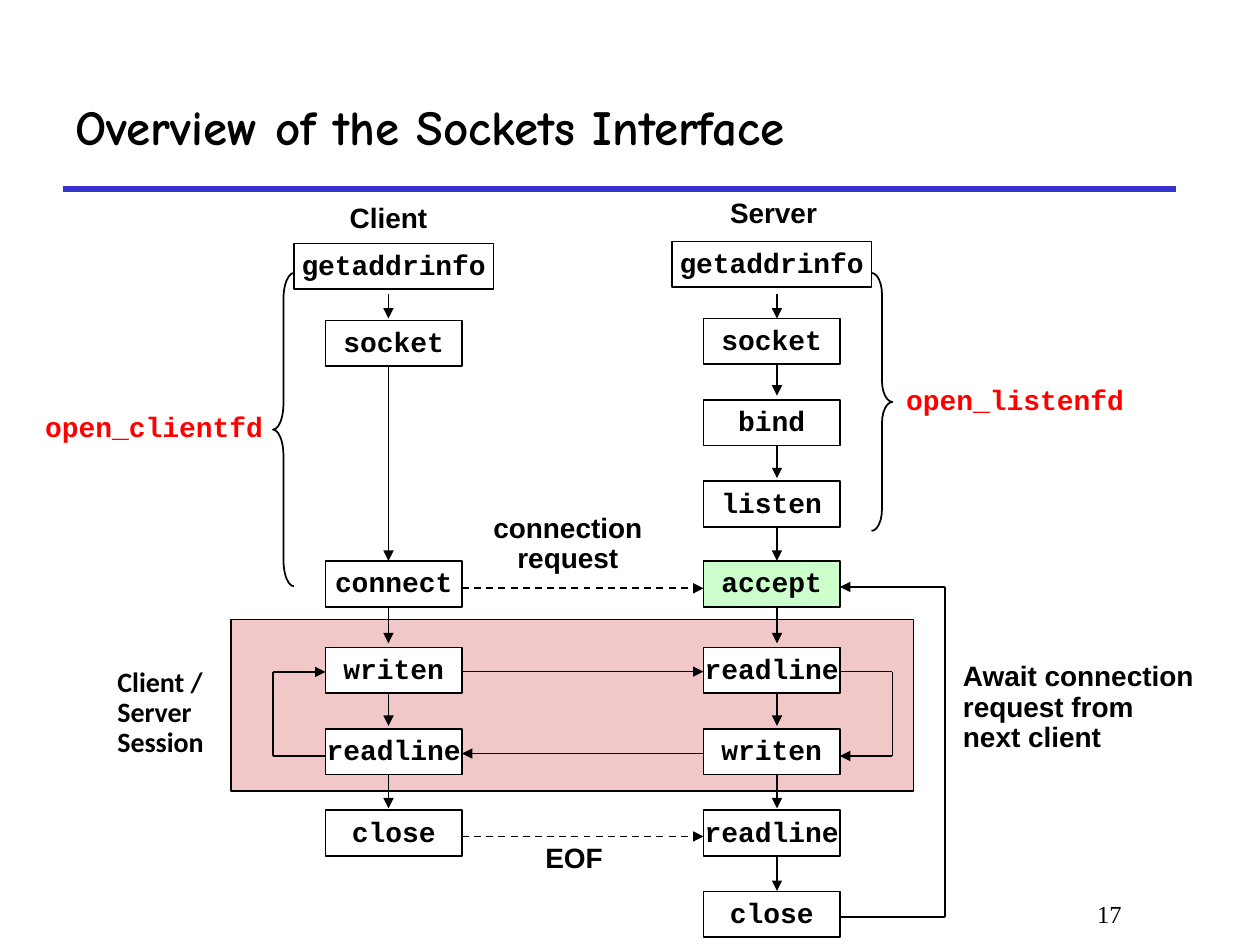
import pptx
import pptx.dml.color
import pptx.enum.dml
import pptx.enum.shapes
import pptx.enum.text
import pptx.oxml
import pptx.oxml.ns
import pptx.util

Pt = pptx.util.Pt
SHAPES = pptx.enum.shapes.MSO_SHAPE
ALIGN = pptx.enum.text.PP_ALIGN
MIDDLE = pptx.enum.text.MSO_ANCHOR.MIDDLE
rgb = pptx.dml.color.RGBColor.from_string


def write(shape, text, font, color="000000", align=ALIGN.CENTER, wrap=False,
          size=16, bold=True, spacing=0.9):
    frame = shape.text_frame
    frame.text = text
    frame.word_wrap = wrap
    frame.vertical_anchor = MIDDLE
    for paragraph in frame.paragraphs:
        paragraph.alignment = align
        paragraph.line_spacing = spacing
        for run in paragraph.runs:
            run.font.name = font
            run.font.size = Pt(size)
            run.font.bold = bold
            run.font.color.rgb = rgb(color)


def draw_route(points, color="000000", width=1, arrow=True, dashed=False):
    """Join the points with straight lines; the arrowhead sits on the last one."""
    for start, end in zip(points, points[1:]):
        line = slide.shapes.add_connector(
            pptx.enum.shapes.MSO_CONNECTOR.STRAIGHT,
            Pt(start[0]), Pt(start[1]), Pt(end[0]), Pt(end[1]))
        line.line.color.rgb = rgb(color)
        line.line.width = Pt(width)
        if dashed:
            line.line.dash_style = pptx.enum.dml.MSO_LINE.DASH
        if arrow and end == points[-1]:
            head = pptx.oxml.parse_xml(
                '<a:tailEnd %s type="triangle"/>' % pptx.oxml.ns.nsdecls("a"))
            line.line._get_or_add_ln().append(head)
        line._element.spPr.append(
            pptx.oxml.parse_xml("<a:effectLst %s/>" % pptx.oxml.ns.nsdecls("a")))


presentation = pptx.Presentation()
presentation.slide_width = Pt(720)
presentation.slide_height = Pt(540)
slide = presentation.slides.add_slide(presentation.slide_layouts[5])

# Title, rule and page number
title = slide.shapes.title
title.left, title.top, title.width, title.height = Pt(36), Pt(36), Pt(636), Pt(72)
write(title, "Overview of the Sockets Interface", "Comic Neue",
      align=ALIGN.LEFT, wrap=True, size=28, spacing=1.0)
draw_route([(36, 108), (672, 108)], "3333CC", 3, arrow=False)
page_number = slide.shapes.add_textbox(Pt(546), Pt(510), Pt(102), Pt(36))
write(page_number, "17", "Times New Roman", align=ALIGN.RIGHT, wrap=True,
      size=14, bold=False, spacing=1.0)
page_number.text_frame.vertical_anchor = pptx.enum.text.MSO_ANCHOR.TOP

# Session area
session = slide.shapes.add_shape(SHAPES.RECTANGLE, Pt(132), Pt(354), Pt(390), Pt(98))
session.shadow.inherit = False
session.fill.solid()
session.fill.fore_color.rgb = rgb("F1C7C7")
session.line.color.rgb = rgb("000000")
session.line.width = Pt(1)

# Columns of calls; the arrows run a little outside the column centres
client_x, server_x = 225, 441
client_arrow_x, server_arrow_x = 222, 444
call_width, call_height = 78, 26.2
client_left, client_right = client_x - call_width / 2, client_x + call_width / 2
server_left, server_right = server_x - call_width / 2, server_x + call_width / 2
connect_y, session_y, pitch = 320.5, 370, 46.5

# Arrows down each column
first_arrow_y, arrow_pitch, arrow_length = 205.2, 47.17, 20.9
draw_route([(client_arrow_x, first_arrow_y), (client_arrow_x, connect_y)])
for x, steps in ((client_arrow_x, range(3, 6)), (server_arrow_x, range(7))):
    draw_route([(x, 168), (x, 182)])
    for step in steps:
        y = first_arrow_y + step * arrow_pitch
        draw_route([(x, y), (x, y + arrow_length)])

# Messages between the columns
for y, dashed in ((336.2, True), (478, True), (383.8, False)):
    draw_route([(client_right, y), (server_left, y)], dashed=dashed)
draw_route([(server_left, 430.6), (client_right, 430.6)])

# Loops back to earlier calls
draw_route([(client_left, 432), (156, 432), (156, 384), (client_left, 384)])
draw_route([(server_right, 383.8), (510, 383.8), (510, 432), (server_right, 432)])
draw_route([(server_right, 524), (540, 524), (540, 335.4), (server_right, 335.4)])

# Calls
calls = [
    ("getaddrinfo", client_x, 139.2), ("socket", client_x, 183.2),
    ("connect", client_x, connect_y),
    ("getaddrinfo", server_x, 138), ("accept", server_x, connect_y),
]
for i, name in enumerate(["socket", "bind", "listen"]):
    calls.append((name, server_x, 182 + i * pitch))
for x, names in ((client_x, ["writen", "readline", "close"]),
                 (server_x, ["readline", "writen", "readline", "close"])):
    for i, name in enumerate(names):
        calls.append((name, x, session_y + i * pitch))

for name, x, y in calls:
    width = 114 if name == "getaddrinfo" else call_width
    call = slide.shapes.add_shape(SHAPES.RECTANGLE, Pt(x - width / 2), Pt(y),
                                  Pt(width), Pt(call_height))
    call.shadow.inherit = False
    call.fill.solid()
    call.fill.fore_color.rgb = rgb("CCFFCC" if name == "accept" else "FFFFFF")
    call.line.color.rgb = rgb("000000")
    call.line.width = Pt(1)
    write(call, name, "Courier New")

# Braces, with corners a twelfth of their height
for kind, left, height in ((SHAPES.LEFT_BRACE, 156, 179), (SHAPES.RIGHT_BRACE, 498, 147.4)):
    brace = slide.shapes.add_shape(kind, Pt(left), Pt(156), Pt(12), Pt(height))
    brace.shadow.inherit = False
    brace.fill.background()
    brace.line.color.rgb = rgb("000000")
    brace.line.width = Pt(1)
    brace.adjustments[0] = height / 12 / 12

# Labels
labels = [
    ("Client", 187, 113, 70, 24.5, "Arial", "000000", ALIGN.CENTER),
    ("Server", 404, 110.2, 76, 24.5, "Arial", "000000", ALIGN.CENTER),
    ("connection\nrequest", 269, 290, 111, 41.8, "Arial", "000000", ALIGN.CENTER),
    ("EOF", 298, 478.8, 60, 24.5, "Arial", "000000", ALIGN.CENTER),
    ("open_listenfd", 504.5, 217, 151, 24.5, "Courier New", "FF0000", ALIGN.CENTER),
    ("open_clientfd", 12.5, 232.6, 151, 24.5, "Courier New", "FF0000", ALIGN.CENTER),
    ("Client / Server\nSession", 60, 378.3, 66.2, 59, "Calibri", "000000", ALIGN.LEFT),
    ("Await connection\nrequest from\nnext client", 543.2, 375.1, 150, 59,
     "Arial", "000000", ALIGN.LEFT),
]
for text, left, top, width, height, font, color, align in labels:
    label = slide.shapes.add_textbox(Pt(left), Pt(top), Pt(width), Pt(height))
    write(label, text, font, color, align, wrap=align == ALIGN.LEFT)

presentation.save("out.pptx")
